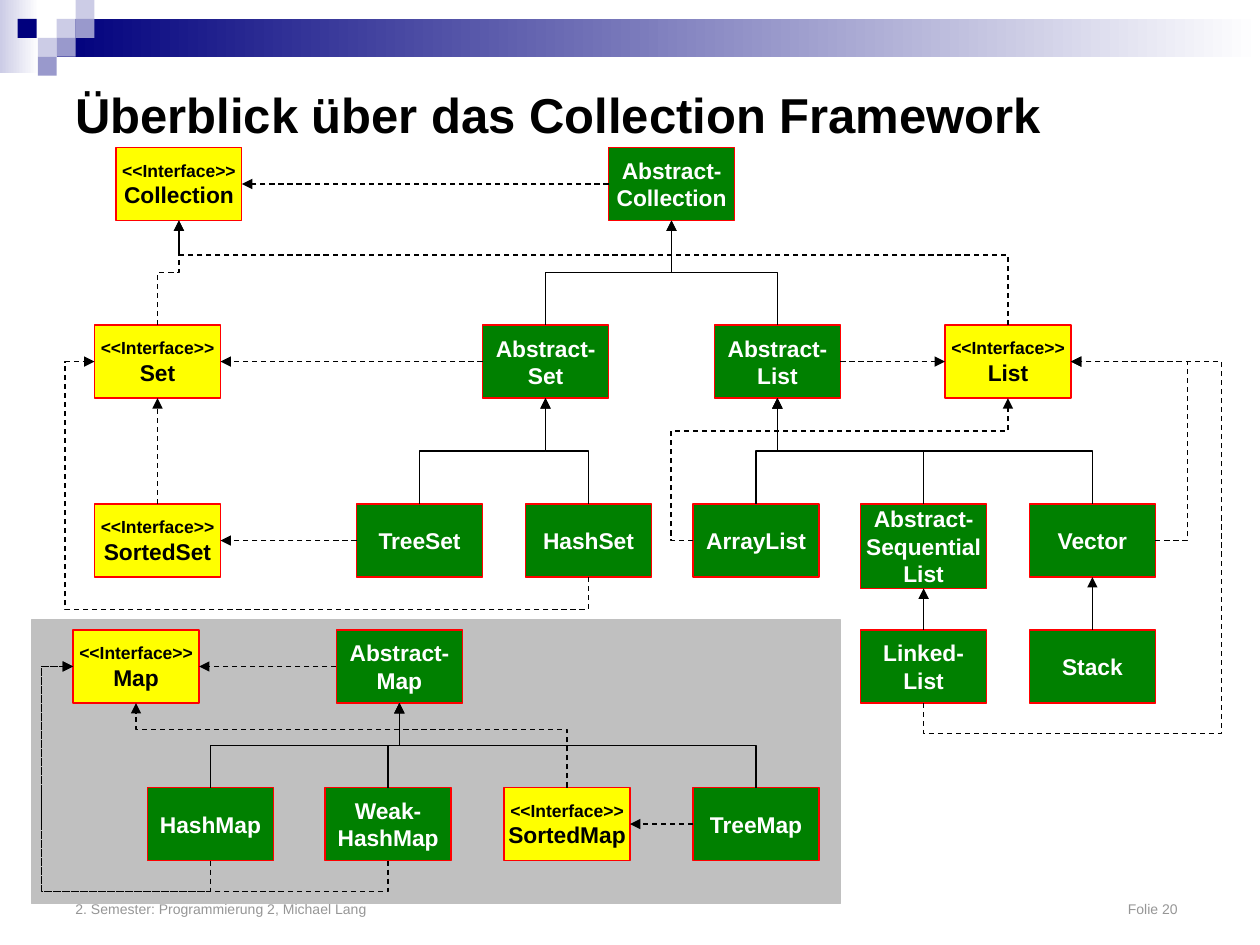
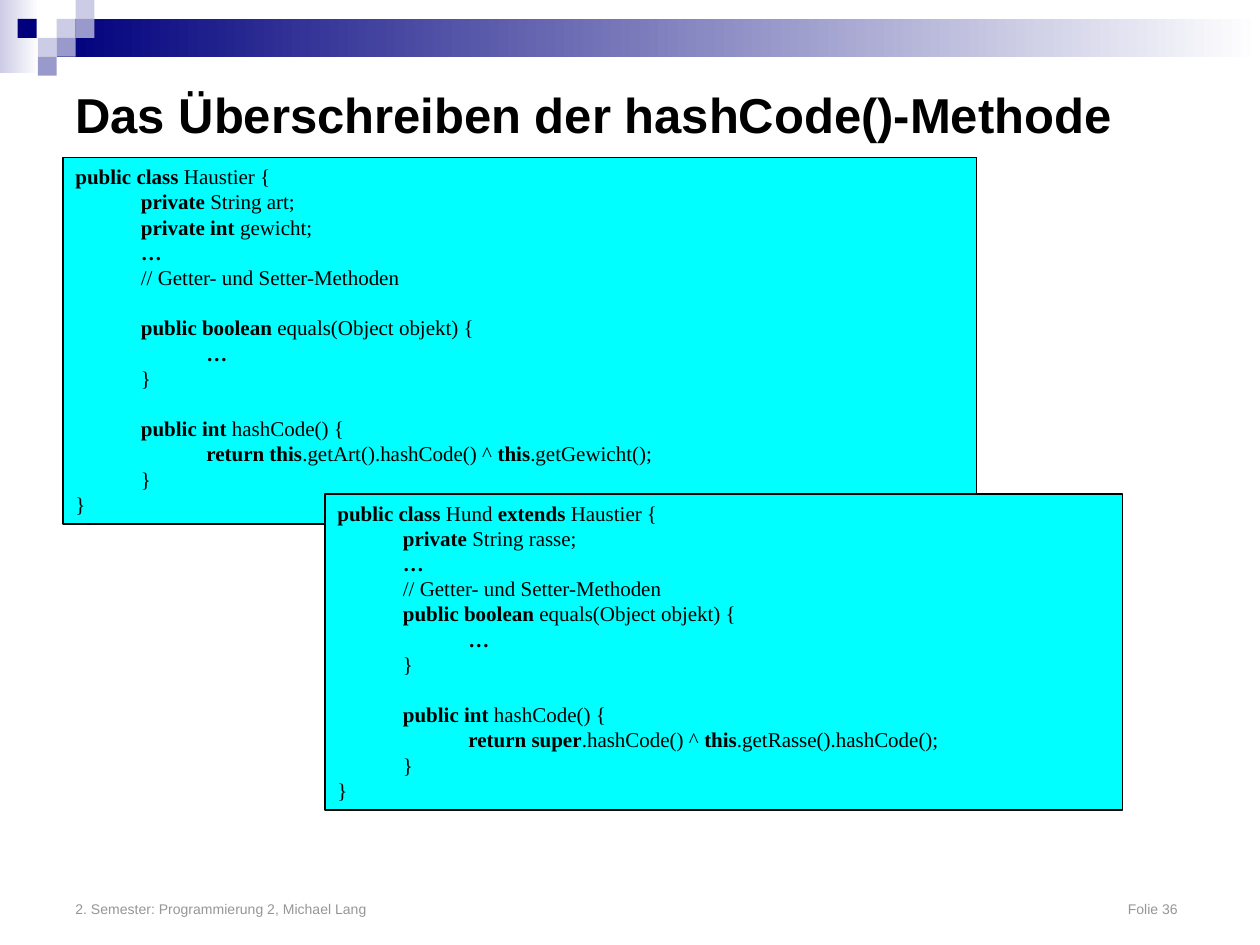
from lxml.etree import SubElement as Sub
from pptx import Presentation
from pptx.dml.color import RGBColor as RGB
from pptx.enum.dml import MSO_LINE as Dash
from pptx.enum.shapes import MSO_CONNECTOR as Con, MSO_SHAPE as Shape
from pptx.enum.text import MSO_ANCHOR as Anchor, PP_ALIGN as Align
from pptx.oxml.ns import qn
from pptx.util import Inches, Pt

BLACK = RGB(0, 0, 0)
WHITE = RGB(255, 255, 255)
NAVY = RGB(0, 0, 0x7D)
LILAC = RGB(0x99, 0x99, 0xCC)
PALE = RGB(0xCC, 0xCC, 0xE6)
GREY = RGB(0x96, 0x96, 0x96)
SILVER = RGB(0xC0, 0xC0, 0xC0)
YELLOW = RGB(255, 255, 0)
GREEN = RGB(0, 0x80, 0)
RED = RGB(255, 0, 0)
CYAN = RGB(0, 255, 255)
TOP, LEFT, BOTTOM, RIGHT = range(4)


def block(slide, x, y, w, h, fill, edge=None):
    """Add a rectangle; a pair of fill colours makes a gradient."""
    rect = slide.shapes.add_shape(Shape.RECTANGLE, Inches(x), Inches(y),
                                  Inches(w), Inches(h))
    rect.shadow.inherit = False
    if isinstance(fill, list):
        rect.fill.gradient()
        rect.fill.gradient_angle = 0
        for stop, tint in zip(rect.fill.gradient_stops, fill):
            stop.color.rgb = tint
    else:
        rect.fill.solid()
        rect.fill.fore_color.rgb = fill
    if edge is None:
        rect.line.fill.background()
    else:
        rect.line.color.rgb = edge
        rect.line.width = Pt(0.75)
    return rect


def style(link, dash):
    """Give a connector its line, arrowhead and no shadow."""
    link.line.color.rgb = BLACK
    link.line.width = Pt(0.75)
    if dash:
        link.line.dash_style = Dash.DASH
    props = link._element.spPr
    Sub(props.find(qn("a:ln")), qn("a:tailEnd"), type="triangle")
    Sub(props, qn("a:effectLst"))


deck = Presentation()
deck.slide_width = Inches(10)
deck.slide_height = Inches(7.5)

# Shared frame: bands, squares, footer, title
SQUARES = [(0.45, 0.15, PALE), (0.6, 0, PALE), (0.6, 0.15, LILAC),
           (0.3, 0.3, PALE), (0.14, 0.15, NAVY), (0.45, 0.3, LILAC),
           (0.3, 0.45, LILAC)]
TITLES = [("Überblick über das Collection Framework", 20),
          ("Das Überschreiben der hashCode()-Methode", 36)]
slides = []
for title, num in TITLES:
    slide = deck.slides.add_slide(deck.slide_layouts[6])
    slides.append(slide)
    block(slide, 0, 0, 0.31, 0.58, [PALE, WHITE])
    block(slide, 0.45, 0.15, 9.55, 0.3, [NAVY, WHITE])
    for x, y, tint in SQUARES:
        block(slide, x, y, 0.15, 0.15, tint)
    foot = f"2. Semester: Programmierung 2, Michael Lang\tFolie {num}"
    for text, y, h, size, tint, anchor in [
            (foot, 6.83, 0.5, 8, GREY, Anchor.BOTTOM),
            (title, 0.5, 0.81, 28, BLACK, Anchor.MIDDLE)]:
        frame = slide.shapes.add_textbox(Inches(0.5), Inches(y), Inches(9),
                                         Inches(h)).text_frame
        frame.word_wrap = True
        frame.vertical_anchor = anchor
        para = frame.paragraphs[0]
        para.text = text
        if text == foot:
            tabs = Sub(para._p.get_or_add_pPr(), qn("a:tabLst"))
            Sub(tabs, qn("a:tab"), pos=str(Inches(8.75)), algn="r")
        para.font.name = "Arial"
        para.font.size = Pt(size)
        para.font.bold = text == title
        para.font.color.rgb = tint

chart, code = slides

# Class diagram
block(chart, 0.25, 4.92, 6.42, 2.25, SILVER, SILVER)
TAG = "<<Interface>>"
TYPES = [
    (1.17, [(0.92, f"{TAG}\nCollection"), (4.83, "Abstract-\nCollection")]),
    (2.58, [(0.75, f"{TAG}\nSet"), (3.83, "Abstract-\nSet"),
            (5.67, "Abstract-\nList"), (7.5, f"{TAG}\nList")]),
    (4, [(0.75, f"{TAG}\nSortedSet"), (2.83, "TreeSet"), (4.17, "HashSet"),
         (5.5, "ArrayList"), (6.83, "Abstract-\vSequential\vList"),
         (8.17, "Vector")]),
    (5, [(0.58, f"{TAG}\nMap"), (2.67, "Abstract-\nMap"),
         (6.83, "Linked-\nList"), (8.17, "Stack")]),
    (6.25, [(1.17, "HashMap"), (2.58, "Weak-\nHashMap"),
            (4, f"{TAG}\nSortedMap"), (5.5, "TreeMap")]),
]
nodes = {}
for y, row in TYPES:
    for x, text in row:
        face = TAG in text
        h = 0.67 if "\v" in text else 0.58
        node = block(chart, x, y, 1, h, YELLOW if face else GREEN, RED)
        frame = node.text_frame
        frame.word_wrap = False
        frame.vertical_anchor = Anchor.MIDDLE
        frame.text = text
        for para in frame.paragraphs:
            para.alignment = Align.CENTER
            para.font.name = "Arial"
            para.font.size = Pt(10 if para.text == TAG else 13)
            para.font.bold = True
            para.font.color.rgb = BLACK if face else WHITE
        name = text.replace(TAG, "").replace("\n", "").replace("\v", "")
        nodes[name] = node

# Straight arrows: child, side, parent, side, dashed
for child, start, parent, end, dash in [
        ("SortedSet", TOP, "Set", BOTTOM, True),
        ("LinkedList", TOP, "Abstract-SequentialList", BOTTOM, False),
        ("Linked-List", TOP, "Abstract-SequentialList", BOTTOM, False),
        ("Stack", TOP, "Vector", BOTTOM, False),
        ("TreeSet", LEFT, "SortedSet", RIGHT, True),
        ("Abstract-Set", LEFT, "Set", RIGHT, True),
        ("Abstract-Collection", LEFT, "Collection", RIGHT, True),
        ("Abstract-List", RIGHT, "List", LEFT, True),
        ("Abstract-Map", LEFT, "Map", RIGHT, True),
        ("TreeMap", LEFT, "SortedMap", RIGHT, True)]:
    if child not in nodes:
        continue
    link = chart.shapes.add_connector(Con.STRAIGHT, 0, 0, 0, 0)
    link.begin_connect(nodes[child], start)
    link.end_connect(nodes[parent], end)
    style(link, dash)

# Bent arrows: child, side, parent, side, dashed, bends, (turn, flips)
UP = (TOP, BOTTOM)
ROUND = (BOTTOM, LEFT)
BENT = [(child, parent, UP, False, [0.5], None) for child, parent in [
    ("TreeSet", "Abstract-Set"), ("HashSet", "Abstract-Set"),
    ("Abstract-Set", "Abstract-Collection"),
    ("Abstract-List", "Abstract-Collection"),
    ("ArrayList", "Abstract-List"),
    ("Abstract-SequentialList", "Abstract-List"),
    ("Vector", "Abstract-List"), ("HashMap", "Abstract-Map"),
    ("Weak-HashMap", "Abstract-Map"), ("TreeMap", "Abstract-Map")]]
BENT += [
    ("Set", "Collection", UP, True, [0.5], None),
    ("List", "Collection", UP, True, [0.67], None),
    ("SortedMap", "Map", UP, True, [0.69], None),
    ("HashSet", "Set", ROUND, True, [-0.15, 1.06], (270, "V")),
    ("HashMap", "Map", ROUND, True, [-0.16, 1.23], (270, "V")),
    ("Weak-HashMap", "Map", ROUND, True, [-0.16, 1.1], (270, "V")),
    ("Vector", "List", (RIGHT, RIGHT), True, [-0.38], (0, "HV")),
    ("Linked-List", "List", (BOTTOM, RIGHT), True, [-0.09, 2.02], (90, "HV")),
    ("ArrayList", "List", (LEFT, BOTTOM), True, [-0.07, 0.77], (180, "H")),
]
for child, parent, sides, dash, bends, turn in BENT:
    ends = []
    for name, side in zip((child, parent), sides):
        n = nodes[name]
        ends.append((n.left + n.width * (1, 0, 1, 2)[side] // 2,
                     n.top + n.height * (0, 1, 2, 1)[side] // 2))
    (ax, ay), (bx, by) = ends
    angle, flips = turn or ((270, "") if bx > ax else (90, "H"))
    w, h = abs(bx - ax), abs(by - ay)
    if angle in (90, 270):
        w, h = h, w
    x, y = (ax + bx - w) // 2, (ay + by - h) // 2
    link = chart.shapes.add_connector(Con.ELBOW, x, y, x + w, y + h)
    props = link._element.spPr
    xfrm = props.find(qn("a:xfrm"))
    xfrm.set("rot", str(angle * 60000))
    for flip in flips:
        xfrm.set("flip" + flip, "1")
    geom = props.find(qn("a:prstGeom"))
    geom.set("prst", f"bentConnector{len(bends) + 2}")
    for i, bend in enumerate(bends, 1):
        Sub(geom.find(qn("a:avLst")), qn("a:gd"), name=f"adj{i}",
            fmla=f"val {round(bend * 100000)}")
    style(link, dash)

# Code panels: text between asterisks is bold
PET = """*public class *Haustier {
\t*private *String art;
\t*private int *gewicht;
\t*…*
\t// Getter- und Setter-Methoden

\t*public boolean *equals(Object objekt) {
\t\t*…*
\t}

\t*public int *hashCode() {
\t\t*return this*.getArt().hashCode() ^ *this*.getGewicht();
\t}
}"""
DOG = """*public class *Hund *extends *Haustier {
\t*private *String rasse;
\t*…*
\t// Getter- und Setter-Methoden
\t*public boolean *equals(Object objekt) {
\t\t*…*
\t}

\t*public int *hashCode() {
\t\t*return super*.hashCode() ^ *this*.getRasse().hashCode();
\t}
}"""
for x, y, w, h, text in [(0.5, 1.25, 7.25, 2.91, PET),
                         (2.58, 3.92, 6.33, 2.51, DOG)]:
    frame = block(code, x, y, w, h, CYAN, BLACK).text_frame
    frame.word_wrap = True
    frame.vertical_anchor = Anchor.TOP
    for i, line in enumerate(text.split("\n")):
        para = frame.add_paragraph() if i else frame.paragraphs[0]
        para.alignment = Align.LEFT
        para.line_spacing = Pt(14.4)
        tabs = Sub(para._p.get_or_add_pPr(), qn("a:tabLst"))
        for stop in (0.52, 1.04):
            Sub(tabs, qn("a:tab"), pos=str(Inches(stop)), algn="l")
        para.font.name = "Times New Roman"
        para.font.size = Pt(12)
        para.font.color.rgb = BLACK
        for j, part in enumerate(line.split("*")):
            if part:
                run = para.add_run()
                run.text = part
                run.font.bold = j % 2 == 1

deck.save("out.pptx")
